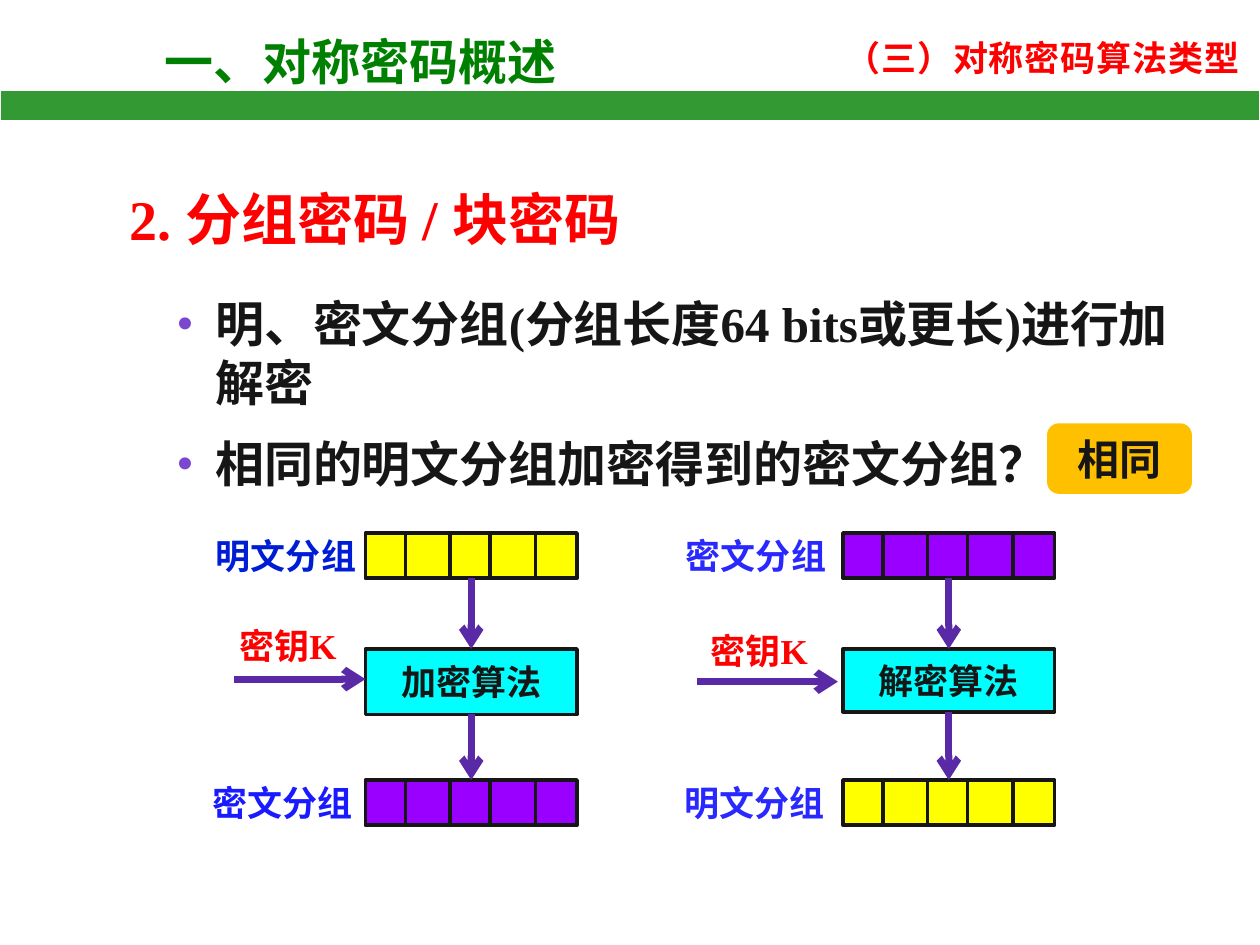
from pptx import Presentation
from pptx.dml.color import RGBColor
from pptx.enum.shapes import MSO_CONNECTOR, MSO_SHAPE
from pptx.enum.text import MSO_ANCHOR, MSO_AUTO_SIZE, PP_ALIGN
from pptx.oxml.ns import qn
from pptx.util import Inches, Pt
from lxml.etree import SubElement

CJK = "Noto Sans CJK SC"
SERIF = "Times New Roman"
COLORS = {
    "ink": "161616", "red": "FF0000", "title": "008000", "bar": "339933",
    "white": "FFFFFF", "bullet": "7B46D0", "arrow": "5A2AA6",
    "plain": "FFFF00", "cipher": "9900FF", "algorithm": "00FFFF",
    "answer": "FFC000", "navy": "001DD6", "blue": "1A1AFF", "sky": "2929FF",
}


def rgb(name):
    return RGBColor.from_string(COLORS[name])


def style(para, text, size, color, font=CJK, tracking=None):
    para.text = text
    para.font.size = Pt(size)
    para.font.bold = True
    para.font.color.rgb = rgb(color)
    para.font.name = font
    defaults = para._p.pPr.find(qn("a:defRPr"))
    SubElement(defaults, qn("a:ea"), typeface=CJK)
    if tracking:
        defaults.set("spc", str(tracking))


def add_label(page, left, top, width, height, text, size, color, font=CJK,
              align=PP_ALIGN.LEFT, wrap=False, tracking=None):
    box = page.shapes.add_textbox(Inches(left), Inches(top), Inches(width), Inches(height))
    frame = box.text_frame
    frame.word_wrap = wrap
    frame.auto_size = MSO_AUTO_SIZE.SHAPE_TO_FIT_TEXT
    para = frame.paragraphs[0]
    para.alignment = align
    style(para, text, size, color, font, tracking)


def add_block(page, left, top, width, height, fill, line=None, weight=2,
              kind=MSO_SHAPE.RECTANGLE):
    block = page.shapes.add_shape(kind, Inches(left), Inches(top), Inches(width), Inches(height))
    block.shadow.inherit = False
    block.fill.solid()
    block.fill.fore_color.rgb = rgb(fill)
    if line:
        block.line.color.rgb = rgb(line)
        block.line.width = Pt(weight)
    else:
        block.line.fill.background()
    return block


def caption(block, text, size, font=CJK):
    frame = block.text_frame
    frame.word_wrap = True
    frame.vertical_anchor = MSO_ANCHOR.MIDDLE
    para = frame.paragraphs[0]
    para.alignment = PP_ALIGN.CENTER
    style(para, text, size, "ink", font)


def add_line(page, x1, y1, x2, y2, color="ink", weight=2, arrow=False):
    line = page.shapes.add_connector(
        MSO_CONNECTOR.STRAIGHT, Inches(x1), Inches(y1), Inches(x2), Inches(y2))
    line.line.color.rgb = rgb(color)
    line.line.width = Pt(weight)
    if arrow:
        SubElement(line.line._get_or_add_ln(), qn("a:tailEnd"), type="arrow")
    SubElement(line._element.spPr, qn("a:effectLst"))


def add_header(page, width):
    add_label(page, width - 3.39, 0.24, 3.36, 0.44, "（三）对称密码算法类型", 20, "red",
              tracking=50)
    add_label(page, 1.21, 0.2, 4.47, 0.57, "一、对称密码概述", 28, "title", wrap=True)
    add_block(page, 0, 0.72, width, 0.24, "bar", "white", 0.75)


def add_bullet(para):
    props = para._p.get_or_add_pPr()
    props.set("marL", str(Inches(1.18)))
    props.set("indent", str(Inches(-0.3)))
    color = SubElement(props, qn("a:buClr"))
    SubElement(color, qn("a:srgbClr"), val=COLORS["bullet"])
    SubElement(props, qn("a:buSzPct"), val="90000")
    SubElement(props, qn("a:buFont"), typeface="Arial")
    SubElement(props, qn("a:buChar"), char="•")


def add_body(page, left, top, width, height):
    box = page.shapes.add_textbox(Inches(left), Inches(top), Inches(width), Inches(height))
    frame = box.text_frame
    frame.word_wrap = True
    heading = frame.paragraphs[0]
    heading.line_spacing = 1.2
    heading.space_after = Pt(18)
    heading._p.get_or_add_pPr().set("marL", str(Inches(0.5)))
    style(heading, "2. 分组密码 / 块密码", 32, "red", SERIF)
    points = [("明、密文分组(分组长度64 bits或更长)进行加解密", 1.0),
              ("相同的明文分组加密得到的密文分组？", 1.2)]
    for text, spacing in points:
        para = frame.add_paragraph()
        para.line_spacing = spacing
        para.space_before = Pt(6)
        add_bullet(para)
        style(para, text, 28, "ink", SERIF)


def add_cells(page, left, top, fill):
    """Draw a data block divided into five cells."""
    add_block(page, left, top, 1.68, 0.36, fill, "ink")
    for offset in (0.32, 0.67, 0.99, 1.35):
        add_line(page, left + offset, top, left + offset, top + 0.36)


def add_flow(page, left, top, algorithm, height, source, result, key):
    """Draw data block, algorithm and resulting block; left is the blocks' edge."""
    middle = left + 0.84
    algorithm_top, result_top = top + 0.92, top + 1.96
    for (text, fill, color, shift), row in ((source, top), (result, result_top)):
        add_cells(page, left, row, fill)
        add_label(page, left + shift, row - 0.04, 1.32, 0.44, text, 20, color,
                  align=PP_ALIGN.CENTER)
    caption(add_block(page, left, algorithm_top, 1.68, height, "algorithm", "ink"),
            algorithm, 20)
    arrow_start, arrow_end, arrow_drop, key_left, key_drop = key
    for ends in ((middle, top + 0.36, middle, algorithm_top),
                 (middle, algorithm_top + height, middle, result_top),
                 (left + arrow_start, top + arrow_drop, left + arrow_end, top + arrow_drop)):
        add_line(page, *ends, color="arrow", weight=4, arrow=True)
    add_label(page, left + key_left, top + key_drop, 0.98, 0.44, "密钥K", 20, "red", SERIF,
              wrap=True)


def add_answer(page, left, top):
    block = add_block(page, left, top, 1.15, 0.56, "answer", kind=MSO_SHAPE.ROUNDED_RECTANGLE)
    caption(block, "相同", 24, SERIF)


def main():
    deck = Presentation()
    deck.slide_width, deck.slide_height = Inches(10), Inches(7.5)
    page = deck.slides.add_slide(deck.slide_layouts[6])
    add_header(page, 10)
    add_body(page, 0.43, 1.31, 9, 5.28)
    add_flow(page, 2.9, 4.23, "加密算法", 0.52,
             source=("明文分组", "plain", "navy", -1.29),
             result=("密文分组", "cipher", "blue", -1.32),
             key=(-1.04, 0, 1.16, -1.1, 0.68))
    add_flow(page, 6.69, 4.23, "解密算法", 0.5,
             source=("密文分组", "cipher", "sky", -1.35),
             result=("明文分组", "plain", "sky", -1.36),
             key=(-1.16, -0.04, 1.18, -1.15, 0.72))
    add_answer(page, 8.31, 3.36)
    deck.save("out.pptx")


if __name__ == "__main__":
    main()
